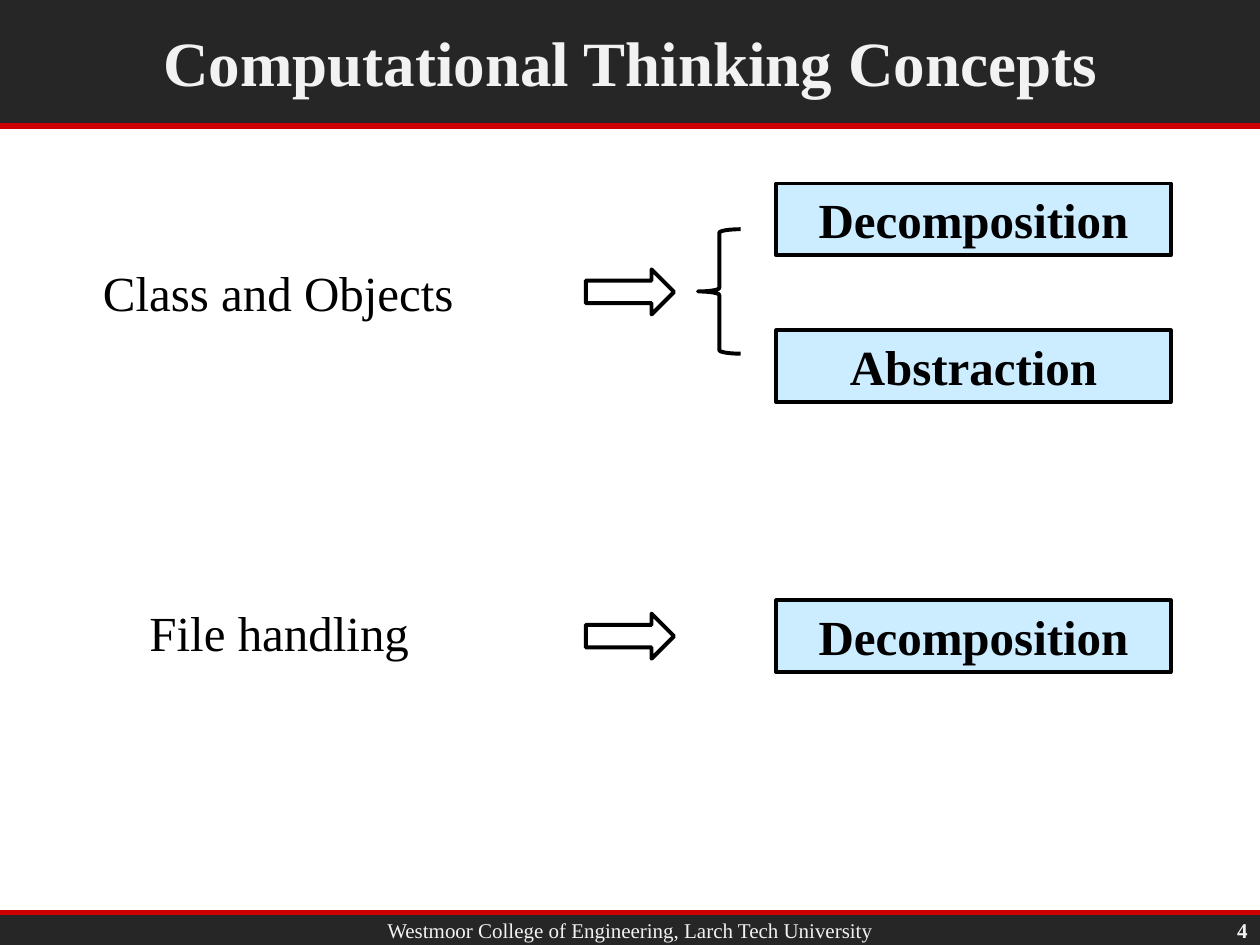
"""Build the slide that maps programming topics to computational thinking concepts."""
from pptx import Presentation
from pptx import util as u
from pptx.dml.color import RGBColor
from pptx.enum import shapes, text
from pptx.oxml.ns import qn
from lxml import etree

CHARCOAL = RGBColor(0x26, 0x26, 0x26)
RED = RGBColor(0xCC, 0x00, 0x00)
OFF_WHITE = RGBColor(0xF2, 0xF2, 0xF2)
PALE_BLUE = RGBColor(0xCC, 0xEC, 0xFF)
BLACK = RGBColor(0, 0, 0)
CENTER, RIGHT = text.PP_ALIGN.CENTER, text.PP_ALIGN.RIGHT
TOP, MIDDLE = text.MSO_ANCHOR.TOP, text.MSO_ANCHOR.MIDDLE

deck = Presentation()
deck.slide_width, deck.slide_height = u.Cm(25.4), u.Cm(19.05)
slide = deck.slides.add_slide(deck.slide_layouts[5])


def write(holder, words, size, color, bold=False, align=CENTER, anchor=TOP):
    """Put one formatted run into a shape."""
    frame = holder.text_frame
    frame.word_wrap = True
    frame.auto_size = text.MSO_AUTO_SIZE.NONE
    frame.vertical_anchor = anchor
    frame.paragraphs[0].alignment = align
    run = frame.paragraphs[0].add_run()
    run.text = words
    run.font.name, run.font.size, run.font.bold = "Times New Roman", u.Pt(size), bold
    run.font.color.rgb = color


def outline(kind, left, top, width, height, fill=None):
    """Add a black-outlined shape, filled only when a colour is given."""
    figure = slide.shapes.add_shape(kind, u.Cm(left), u.Cm(top), u.Cm(width), u.Cm(height))
    figure.shadow.inherit = False
    figure.line.color.rgb, figure.line.width = BLACK, u.Pt(2.25)
    if fill is None:
        figure.fill.background()
    else:
        figure.fill.solid()
        figure.fill.fore_color.rgb = fill
    return figure


for band_top, band_height, rule_y in [(18.39, 0.66, 18.39), (0, 2.54, 2.54)]:
    band = slide.shapes.add_shape(
        shapes.MSO_SHAPE.RECTANGLE, 0, u.Cm(band_top), deck.slide_width, u.Cm(band_height))
    band.shadow.inherit = False
    band.fill.solid()
    band.fill.fore_color.rgb = CHARCOAL
    band.line.fill.background()
    rule = slide.shapes.add_connector(
        shapes.MSO_CONNECTOR.STRAIGHT, 0, u.Cm(rule_y), deck.slide_width, u.Cm(rule_y))
    rule.line.color.rgb, rule.line.width = RED, u.Pt(3)
    etree.SubElement(rule.element.spPr, qn("a:effectLst"))

title = slide.shapes.title
title.left, title.top, title.width, title.height = u.Cm(2.57), u.Cm(0.1), u.Cm(20.27), u.Cm(2.26)
write(title, "Computational Thinking Concepts", 36, OFF_WHITE, bold=True, anchor=MIDDLE)
title.element.getparent().append(title.element)

college = slide.shapes.add_textbox(u.Cm(2.57), u.Cm(18.37), u.Cm(20.27), u.Cm(0.77))
write(college, "Westmoor College of Engineering, Larch Tech University", 12, OFF_WHITE, anchor=MIDDLE)
page_number = slide.shapes.add_textbox(u.Cm(23.57), u.Cm(18.42), u.Cm(1.83), u.Cm(0.66))
write(page_number, "4", 12, OFF_WHITE, bold=True, align=RIGHT, anchor=MIDDLE)

topics = [
    ("Class and Objects", 0.76, 5.16, 9.7, 5.43),
    ("File handling", 0.18, 12.02, 10.9, 12.37),
]
for topic, left, top, width, arrow_top in topics:
    label = slide.shapes.add_textbox(u.Cm(left), u.Cm(top), u.Cm(width), u.Cm(1.45))
    write(label, topic, 28, BLACK)
    outline(shapes.MSO_SHAPE.RIGHT_ARROW, 11.81, arrow_top, 1.78, 0.91)

for concept, top in [("Decomposition", 3.7), ("Decomposition", 12.1), ("Abstraction", 6.66)]:
    concept_box = outline(shapes.MSO_SHAPE.RECTANGLE, 15.65, top, 7.95, 1.45, PALE_BLUE)
    write(concept_box, concept, 28, BLACK, bold=True)

brace = outline(shapes.MSO_SHAPE.RIGHT_BRACE, 14.07, 4.62, 0.86, 2.51)
brace.rotation = 180

deck.save("out.pptx")
